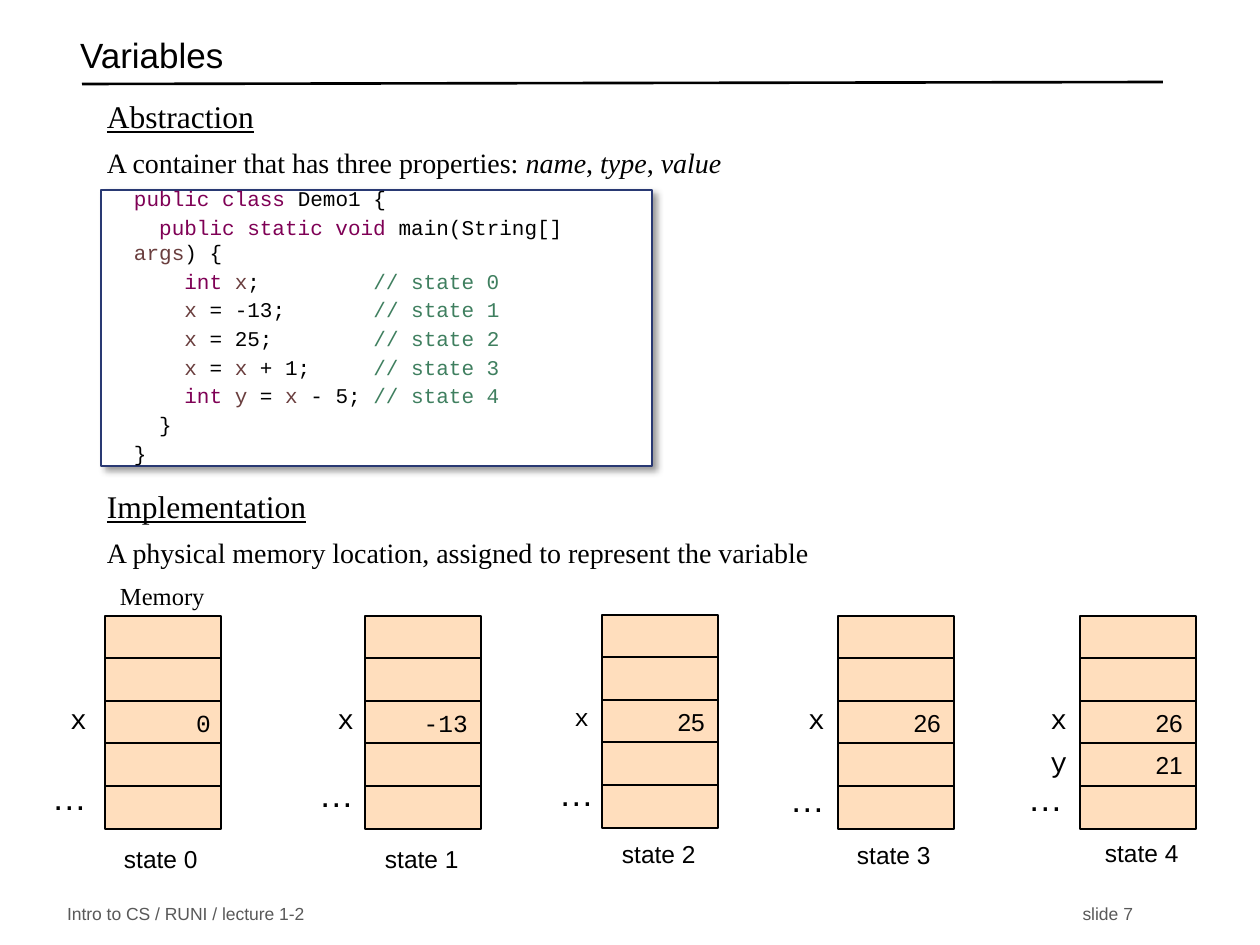
"""Builds the lecture slide on variables: abstraction, code and memory states."""
from dataclasses import dataclass
from lxml import etree
from pptx import Presentation
from pptx.dml.color import RGBColor
from pptx.enum.shapes import MSO_CONNECTOR, MSO_SHAPE
from pptx.enum.text import MSO_ANCHOR, MSO_AUTO_SIZE, PP_ALIGN
from pptx.oxml import parse_xml
from pptx.oxml.ns import nsdecls, qn
from pptx.util import Pt

RECTANGLE = MSO_SHAPE.RECTANGLE
STRAIGHT = MSO_CONNECTOR.STRAIGHT
TOP, MIDDLE = MSO_ANCHOR.TOP, MSO_ANCHOR.MIDDLE
LEFT, RIGHT = PP_ALIGN.LEFT, PP_ALIGN.RIGHT
NO_AUTOFIT = MSO_AUTO_SIZE.NONE
EMU_PER_PX = 914400 / 126
SHADOW = (
    f'<a:effectLst {nsdecls("a")}><a:outerShdw blurRad="50800" dist="38100" '
    'dir="2700000" algn="tl" rotWithShape="0"><a:srgbClr val="000000">'
    '<a:alpha val="40000"/></a:srgbClr></a:outerShdw></a:effectLst>'
)


@dataclass(frozen=True)
class Theme:
    """Colours, fonts and type sizes of the slide."""
    ink: str = "000000"
    paper: str = "FFFFFF"
    frame: str = "293973"
    cell: str = "FFDEBD"
    muted: str = "595959"
    keyword: str = "7F0055"
    variable: str = "6A3E3E"
    comment: str = "3F7F5F"
    sans: str = "Arial"
    serif: str = "Times New Roman"
    mono: str = "Courier New"
    title: int = 20
    heading: int = 18
    body: int = 16
    label: int = 14
    code: int = 12
    footer: int = 10


@dataclass(frozen=True)
class MemoryState:
    """One memory column with its values, names and label positions."""
    left: int
    names_right: int
    dots_right: int
    dots_top: int
    caption_left: int
    caption_top: int
    values: dict
    value_font: str = Theme.sans
    name_size: int = Theme.body
    value_margin: int = 13
    top: int = 616


def px(length):
    """Turn pixels into EMU."""
    return round(length * EMU_PER_PX)


class SlideBuilder:
    """Holds the theme and the current slide."""

    def __init__(self, slide, theme):
        self.slide = slide
        self.theme = theme

    def fill_text(self, shape, paragraphs, font, align=LEFT, anchor=TOP,
                  margins=(13, 6, 13, 6), gap=0, spacing=None):
        """Fill a shape with paragraphs of (text, format) runs."""
        frame = shape.text_frame
        left, top, right, bottom = map(px, margins)
        layout = dict(word_wrap=True, auto_size=NO_AUTOFIT, vertical_anchor=anchor,
                      margin_left=left, margin_top=top,
                      margin_right=right, margin_bottom=bottom)
        for name, value in layout.items():
            setattr(frame, name, value)
        for index, runs in enumerate(paragraphs):
            paragraph = frame.add_paragraph() if index else frame.paragraphs[0]
            paragraph.alignment = align
            paragraph.space_before = Pt(gap if index else 0)
            if spacing:
                paragraph.line_spacing = spacing
            for text, changes in runs:
                run = paragraph.add_run()
                run.text = text
                style = {"color": self.theme.ink, **font, **changes}
                run.font.color.rgb = RGBColor.from_string(style.pop("color"))
                run.font.size = Pt(style.pop("size"))
                for name, value in style.items():
                    setattr(run.font, name, value)

    def title(self, text, box):
        """Place and format the title placeholder."""
        holder = self.slide.shapes.title
        for name, length in zip(("left", "top", "width", "height"), box):
            setattr(holder, name, px(length))
        self.fill_text(holder, [[(text, {})]], anchor=MIDDLE, spacing=0.7,
                       font=dict(name=self.theme.sans, size=self.theme.title))

    def text(self, paragraphs, box, font, **options):
        """Add a text box."""
        shape = self.slide.shapes.add_textbox(*map(px, box))
        self.fill_text(shape, paragraphs, font, **options)

    def label(self, text, box, name, size, **options):
        """Add a one-line text box."""
        self.text([[(text, {})]], box, dict(name=name, size=size), **options)

    def rectangle(self, box, fill, line):
        """Add a thinly outlined rectangle without shadow."""
        shape = self.slide.shapes.add_shape(RECTANGLE, *map(px, box))
        shape.shadow.inherit = False
        shape.fill.solid()
        shape.fill.fore_color.rgb = RGBColor.from_string(fill)
        shape.line.color.rgb = RGBColor.from_string(line)
        shape.line.width = Pt(0.75)
        return shape

    def rule(self, start, end):
        """Add the line under the title."""
        line = self.slide.shapes.add_connector(STRAIGHT, *map(px, start + end))
        line.line.color.rgb = RGBColor.from_string(self.theme.ink)
        line.line.width = Pt(1.5)
        etree.SubElement(line._element.spPr, qn("a:effectLst"))

    def section(self, heading, body, top):
        """Add an underlined heading with a sentence below."""
        theme = self.theme
        self.text([[(heading, dict(size=theme.heading, underline=True))], body],
                  (94, top, 1084, 96), dict(name=theme.serif, size=theme.body), gap=6)

    def code(self, lines, box):
        """Add the shadowed code listing."""
        listing = self.rectangle(box, self.theme.paper, self.theme.frame)
        properties = listing._element.spPr
        properties.replace(properties.find(qn("a:effectLst")), parse_xml(SHADOW))
        colored = [[(text, {"color": color}) for text, color in line] for line in lines]
        self.fill_text(listing, colored, dict(name=self.theme.mono, size=self.theme.code),
                       anchor=MIDDLE, margins=(33, 32, 23, 37), gap=2)

    def memory(self, number, state):
        """Add a memory column of five cells with its labels."""
        theme = self.theme
        names = dict(zip((2, 3), state.values))
        for row in range(5):
            top = state.top + row * 85 // 2
            cell = self.rectangle((state.left, top, 116, 43), theme.cell, theme.ink)
            if row in names:
                name = names[row]
                self.fill_text(cell, [[(state.values[name], {})]],
                               dict(name=state.value_font, size=theme.label), align=RIGHT,
                               anchor=MIDDLE, margins=(0, 6, state.value_margin, 6))
                self.label(name, (state.names_right - 80, 696 + 43 * (row - 2), 80, 47),
                           theme.mono, state.name_size, align=RIGHT)
        self.label("…", (state.dots_right - 80, state.dots_top, 80, 55),
                   theme.sans, theme.title, align=RIGHT)
        self.label(f"state {number}", (state.caption_left, state.caption_top, 136, 42),
                   theme.sans, theme.label)


def main():
    """Build and save the slide."""
    theme = Theme()
    ink, keyword, variable, comment = theme.ink, theme.keyword, theme.variable, theme.comment
    italic = {"italic": True}
    program = [
        [("public class", keyword), (" Demo1 {", ink)],
        [("  public static void", keyword), (" main(String[] ", ink),
         ("args", variable), (") {", ink)],
        [("    int ", keyword), ("x", variable), (";         ", ink), ("// state 0", comment)],
        [("    x", variable), (" = -13;       ", ink), ("// state 1", comment)],
        [("    x", variable), (" = 25;        ", ink), ("// state 2", comment)],
        [("    x", variable), (" = ", ink), ("x", variable), (" + 1;     ", ink),
         ("// state 3", comment)],
        [("    int ", keyword), ("y", variable), (" = ", ink), ("x", variable),
         (" - 5; ", ink), ("// state 4", comment)],
        [("  }", ink)],
        [("}", ink)],
    ]
    states = [
        MemoryState(105, 100, 100, 769, 111, 838, {"x": "0"}, theme.mono, value_margin=10),
        MemoryState(365, 367, 367, 766, 372, 838, {"x": "-13"}, theme.mono),
        MemoryState(602, 602, 607, 765, 609, 833, {"x": "25"}, name_size=theme.label, top=615),
        MemoryState(838, 838, 838, 771, 844, 834, {"x": "26"}),
        MemoryState(1080, 1080, 1076, 770, 1092, 832, {"x": "26", "y": "21"}),
    ]
    deck = Presentation()
    deck.slide_width, deck.slide_height = px(1260), px(945)
    builder = SlideBuilder(deck.slides.add_slide(deck.slide_layouts[5]), theme)
    builder.rule((82, 84), (1163, 82))
    builder.title("Variables", (67, 28, 1084, 63))
    for text, left, align in (("Intro to CS / RUNI / lecture 1-2", 54, LEFT),
                              ("slide 7", 746, RIGHT)):
        builder.text([[(text, {})]], (left, 900, 400, 27), align=align, anchor=MIDDLE,
                     font=dict(name=theme.sans, size=theme.footer, color=theme.muted))
    builder.section("Abstraction", [
        ("A container that has three properties: ", {}), ("name", italic), (", ", {}),
        ("type", italic), (", ", {}), ("value", italic)], 91)
    builder.code(program, (101, 190, 551, 276))
    builder.section("Implementation", [
        ("A physical memory location, assigned to represent the variable", {})], 481)
    builder.label("Memory", (107, 575, 121, 40), theme.serif, theme.label)
    for number, state in enumerate(states):
        builder.memory(number, state)
    deck.save("out.pptx")


if __name__ == "__main__":
    main()
